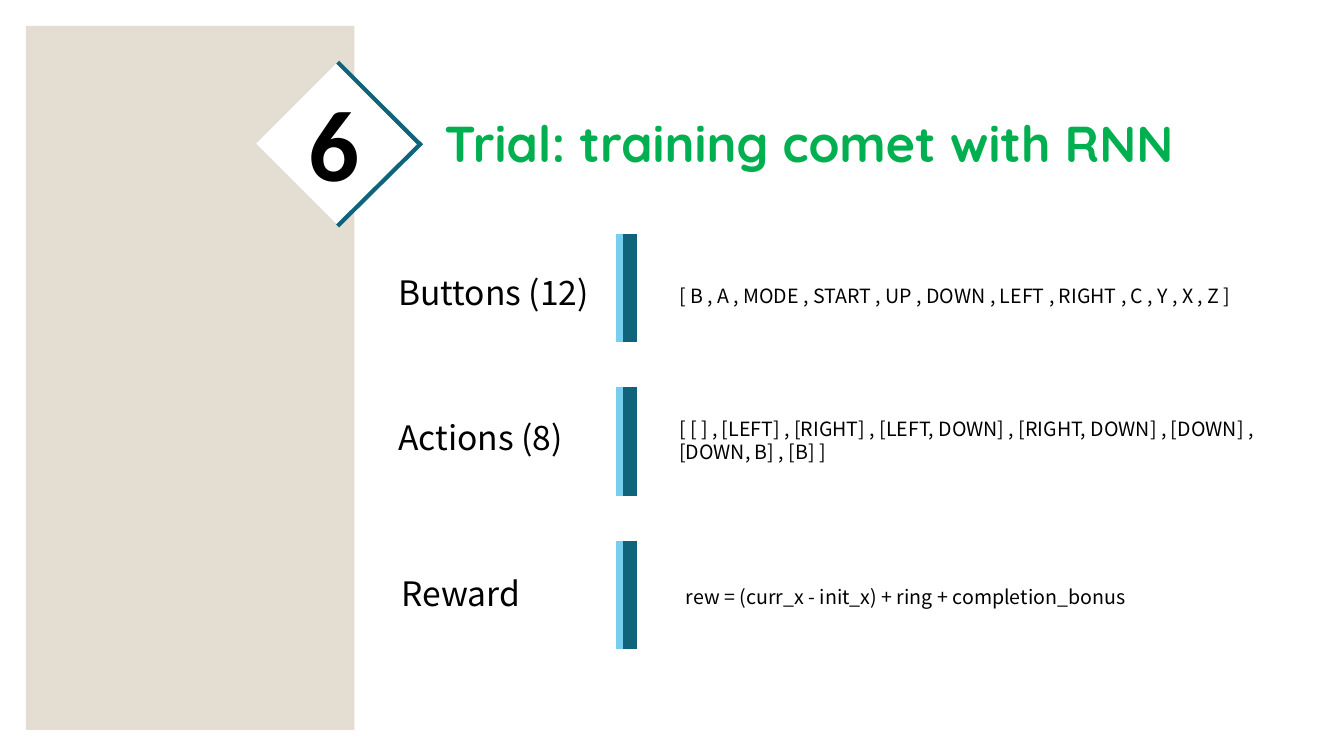
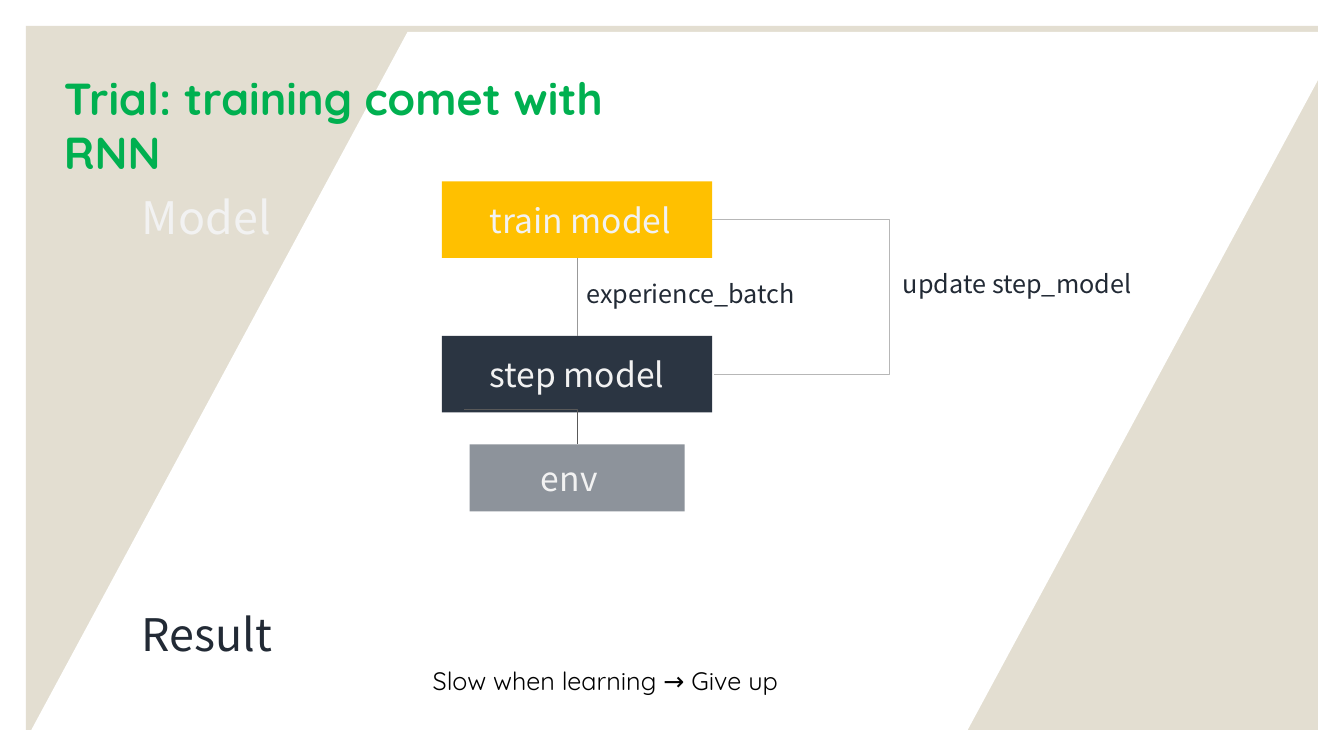
from dataclasses import dataclass
from typing import Optional

from lxml import etree
from pptx import Presentation
from pptx import util as u
from pptx.dml.color import RGBColor
from pptx.enum import shapes, text
from pptx.oxml import ns

# Slide grid: 80 columns by 45 rows of square cells
COLS, ROWS = 80, 45
SLIDE_W, SLIDE_H = u.Inches(13.333), u.Inches(7.5)
MARGIN = 1.55

COLORS = {
    "paper": "FFFFFF", "sand": "E3DED1", "ink": "000000", "green": "00B050",
    "teal": "0F647B", "sky": "77CEEF", "amber": "FFC000", "navy": "2B3542",
    "steel": "8D939B", "pale": "F2F2F2", "slate": "222A35",
    "link": "999999", "loop": "B7B7B7", "feed": "595959",
}
HEAD_FONT, BODY_FONT, NUMBER_FONT = "Quicksand", "Noto Sans CJK SC", "Calibri"
TITLE = "Trial: training comet with RNN"
WIDE_INSET, TIGHT_INSET = (0.6, 0.3), (0.42, 0.24)


@dataclass
class Box:
    col: float
    row: float
    cols: float
    rows: float

    def emu(self) -> tuple:
        return x(self.col), y(self.row), x(self.cols), y(self.rows)


@dataclass
class Style:
    size: float
    color: str = "ink"
    font: str = BODY_FONT
    bold: bool = False
    spacing: Optional[float] = None


@dataclass
class Spec:
    label: str
    label_box: Box
    note: str
    note_box: Box
    spacing: Optional[float] = None


@dataclass
class Node:
    name: str
    row: float
    cols: float
    rows: float
    fill: str
    indent: float


def x(cols: float) -> int:
    return round(SLIDE_W * cols / COLS)


def y(rows: float) -> int:
    return round(SLIDE_H * rows / ROWS)


def rgb(name: str) -> RGBColor:
    return RGBColor.from_string(COLORS[name])


# Drawing helpers
def write(sp, words: str, style: Style, inset: tuple = WIDE_INSET,
          anchor=text.MSO_ANCHOR.TOP) -> None:
    tf = sp.text_frame
    tf.word_wrap, tf.auto_size = True, text.MSO_AUTO_SIZE.NONE
    tf.vertical_anchor = anchor
    tf.margin_left = tf.margin_right = x(inset[0])
    tf.margin_top = tf.margin_bottom = y(inset[1])
    p = tf.paragraphs[0]
    p.text, p.alignment = words, text.PP_ALIGN.LEFT
    if style.spacing:
        p.line_spacing = style.spacing
    p.font.name, p.font.size, p.font.bold = style.font, u.Pt(style.size), style.bold
    p.font.color.rgb = rgb(style.color)


def add_text(s, box: Box, words: str, style: Style, inset: tuple = WIDE_INSET) -> None:
    write(s.shapes.add_textbox(*box.emu()), words, style, inset)


def add_block(s, box: Box, fill: str, kind=shapes.MSO_SHAPE.RECTANGLE):
    sp = s.shapes.add_shape(kind, *box.emu())
    sp.shadow.inherit = False
    sp.fill.solid()
    sp.fill.fore_color.rgb = rgb(fill)
    sp.line.fill.background()
    return sp


def add_line(s, start: tuple, end: tuple, color: str, width: float,
             kind=shapes.MSO_CONNECTOR.STRAIGHT):
    line = s.shapes.add_connector(kind, x(start[0]), y(start[1]), x(end[0]), y(end[1]))
    line.line.color.rgb, line.line.width = rgb(color), u.Pt(width)
    etree.SubElement(line.element.spPr, ns.qn("a:effectLst"))
    return line


def add_elbow(s, start: tuple, end: tuple, color: str,
              turn_col: Optional[float] = None) -> None:
    """Turn at a given column, or once at the corner when none is given."""
    line = add_line(s, start, end, color, 0.75, shapes.MSO_CONNECTOR.ELBOW)
    geom = line.element.spPr.find(ns.qn("a:prstGeom"))
    if turn_col is None:
        geom.set("prst", "bentConnector2")
        return
    share = (turn_col - start[0]) / (end[0] - start[0])
    guides = geom.find(ns.qn("a:avLst"))
    if guides is None:
        guides = etree.SubElement(geom, ns.qn("a:avLst"))
    etree.SubElement(guides, ns.qn("a:gd"), name="adj1", fmla=f"val {round(share * 100000)}")


def new_slide(prs):
    s = prs.slides.add_slide(prs.slide_layouts[5])
    add_block(s, Box(MARGIN, MARGIN, COLS - 2 * MARGIN, ROWS - 2 * MARGIN), "sand")
    return s


def add_title(s, box: Box, size: float) -> None:
    title = s.shapes.title
    title.left, title.top, title.width, title.height = box.emu()
    write(title, TITLE, Style(size, "green", HEAD_FONT, True))
    s.shapes.element.append(title.element)  # bring in front of the backdrop


# Slide 1: buttons, actions and reward
SPECS = [
    Spec("Buttons (12)", Box(23.1, 15.9, 16.4, 3),
         "[ B , A , MODE , START , UP , DOWN , LEFT , RIGHT , C , Y , X , Z ]",
         Box(40, 16.25, 35.8, 2.3), 1.3),
    Spec("Actions (8)", Box(23.1, 24.55, 16.4, 3),
         "[ [ ] , [LEFT] , [RIGHT] , [LEFT, DOWN] , [RIGHT, DOWN] , [DOWN] , "
         "[DOWN, B] , [B] ]", Box(40, 24.55, 35.8, 3.25)),
    Spec("Reward", Box(23.3, 33.8, 16.4, 3),
         "rew = (curr_x - init_x) + ring + completion_bonus",
         Box(40.4, 34.15, 35.8, 2.3), 1.3),
]
BAR_TOP, BAR_PITCH, BAR_ROWS = 13.9, 9.15, 6.45


def setup_slide(prs) -> None:
    s = new_slide(prs)
    add_block(s, Box(21.1, 1.25, COLS - 21.1, ROWS - 1.25), "paper")

    # Numbered diamond
    add_block(s, Box(15.25, 3.65, 9.8, 9.8), "paper", shapes.MSO_SHAPE.DIAMOND)
    add_line(s, (20.1, 3.7), (25, 8.6), "teal", 3)
    add_line(s, (25.1, 8.5), (20.1, 13.45), "teal", 3)
    add_text(s, Box(17.75, 4.5, 4.5, 7.8), "6", Style(72, font=NUMBER_FONT, bold=True))
    add_title(s, Box(25.85, 6.4, 48.9, 4.3), 36)

    # Label, double bar and note in each row
    for i, spec in enumerate(SPECS):
        top = BAR_TOP + i * BAR_PITCH
        for col, color, width in ((37.5, "teal", 10), (36.9, "sky", 5)):
            add_line(s, (col, top), (col, top + BAR_ROWS), color, width)
        add_text(s, spec.label_box, spec.label, Style(24))
        add_text(s, spec.note_box, spec.note, Style(14, spacing=spec.spacing), TIGHT_INSET)


# Slide 2: model diagram and result
AXIS = 34.35
NODES = [
    Node("train model", 10.8, 16.1, 4.55, "amber", 2.85),
    Node("step model", 20, 16.1, 4.55, "navy", 2.85),
    Node("env", 26.45, 12.8, 4, "steel", 4.25),
]


def model_slide(prs) -> None:
    s = new_slide(prs)
    slant = add_block(s, Box(1.03, 1.9, COLS - 1.03, ROWS - 1.9), "paper",
                      shapes.MSO_SHAPE.PARALLELOGRAM)
    slant.adjustments[0] = 0.539
    add_title(s, Box(3.2, 3.9, 38.2, 3.8), 32)

    # Section headings and result
    for row, heading, color in ((11, "Model", "pale"), (35.8, "Result", "slate")):
        add_text(s, Box(7.85, row, 12.8, 3.8), heading, Style(32, color))
    add_text(s, Box(25.15, 38.75, 26.9, 2.65), "Slow when learning → Give up",
             Style(18, font=HEAD_FONT, spacing=1.3))

    # Nodes centred on one axis
    for node in NODES:
        sp = add_block(s, Box(AXIS - node.cols / 2, node.row, node.cols, node.rows), node.fill)
        write(sp, node.name, Style(24, "pale"), anchor=text.MSO_ANCHOR.MIDDLE)
        sp.text_frame.margin_left, sp.text_frame.margin_right = x(node.indent), 0

    # Links between the nodes
    train, step, env = NODES
    right = AXIS + train.cols / 2
    add_line(s, (AXIS, step.row), (AXIS, train.row + train.rows), "link", 0.75)
    add_elbow(s, (right, train.row + train.rows / 2),
              (right + 0.1, step.row + step.rows / 2), "loop", 53.05)
    add_elbow(s, (27.65, 24.4), (AXIS, env.row), "feed")
    for box, words in ((Box(34.3, 16.3, 14.8, 2.6), "experience_batch"),
                       (Box(53.15, 15.7, 16.8, 2.6), "update step_model")):
        add_text(s, box, words, Style(18, "slate"))


def main() -> None:
    prs = Presentation()
    prs.slide_width, prs.slide_height = SLIDE_W, SLIDE_H
    setup_slide(prs)
    model_slide(prs)
    prs.save("out.pptx")


if __name__ == "__main__":
    main()
